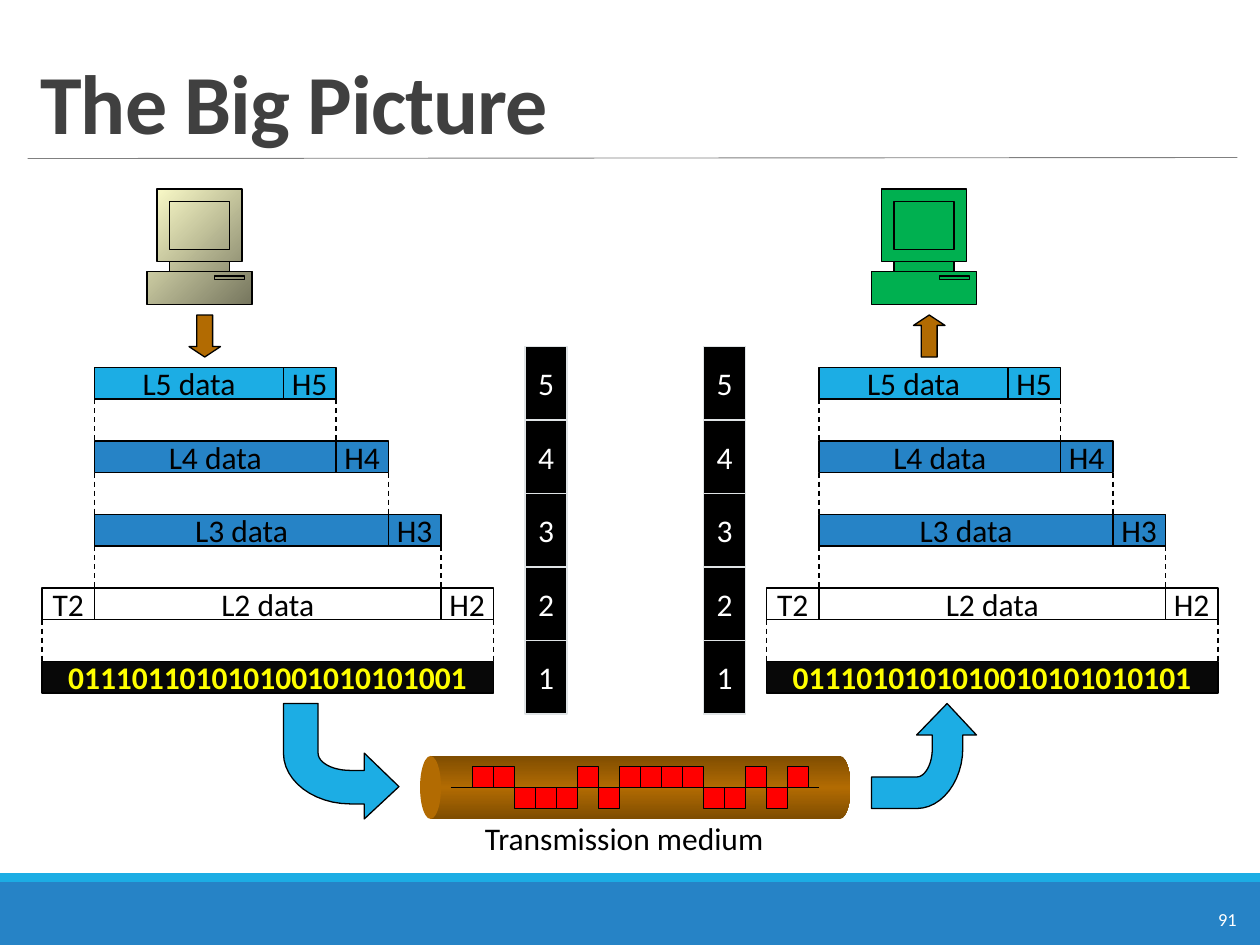
import copy
from dataclasses import dataclass

import pptx
import pptx.dml.color
import pptx.enum.dml
import pptx.enum.shapes
import pptx.enum.text
import pptx.oxml
import pptx.util

RGBColor = pptx.dml.color.RGBColor
Cm, Pt = pptx.util.Cm, pptx.util.Pt
Kind = pptx.enum.shapes.MSO_SHAPE
Align = pptx.enum.text.PP_ALIGN
Anchor = pptx.enum.text.MSO_ANCHOR

SKY = RGBColor(0x1C, 0xAD, 0xE4)
BLUE = RGBColor(0x26, 0x83, 0xC6)
WHITE = RGBColor(0xFF, 0xFF, 0xFF)
BLACK = RGBColor(0, 0, 0)
COAL = RGBColor(0x08, 0x08, 0x08)
DARK = RGBColor(0x40, 0x40, 0x40)
GREY = RGBColor(0x80, 0x80, 0x80)
PALE = RGBColor(0xDF, 0xE3, 0xE5)
YELLOW = RGBColor(0xFF, 0xFF, 0)
RED = RGBColor(0xFF, 0, 0)
GREEN = RGBColor(0, 0xB0, 0x50)
BROWN = RGBColor(0xB2, 0x6B, 0x02)
UMBER = RGBColor(0x7F, 0x4D, 0x01)
CREAM = RGBColor(0xFF, 0xFF, 0xCC)
OLIVE = RGBColor(0x76, 0x76, 0x5E)


@dataclass
class Blend:
    stops: list[RGBColor]
    angle: int


@dataclass
class Layer:
    level: int
    width: float
    paint: RGBColor
    tail: bool = False


@dataclass
class Host:
    shift: float
    paint: RGBColor | Blend
    bits: str
    down: bool
    stack: float


PIPE = Blend([UMBER, BROWN, UMBER], 90)
LAYERS = [Layer(5, 18, SKY), Layer(4, 23, BLUE), Layer(3, 28, BLUE), Layer(2, 33, WHITE, True)]
HOSTS = [
    Host(0, Blend([CREAM, OLIVE], 315), "0111011010101001010101001", True, 50),
    Host(69, GREEN, "0111010101010010101010101", False, 67),
]
SIGNAL = "1100010111100101"
LEFT, EDGE, TOP, STEP, HIGH = 9, 5, 35, 7, 3


def grid(n: float) -> int:
    """Twelfths of an inch, the module of the whole layout."""
    return Cm(n * 2.54 / 12)


def paint(shape, fill, line=BLACK) -> None:
    shape.shadow.inherit = False
    if fill is None:
        shape.fill.background()
    elif isinstance(fill, Blend):
        shape.fill.gradient()
        shape.fill.gradient_angle = fill.angle
        stops = shape._element.spPr.find(".//" + pptx.oxml.ns.qn("a:gsLst"))
        for _ in fill.stops[2:]:
            stops.append(copy.deepcopy(stops[0]))
        for i, stop in enumerate(shape.fill.gradient_stops):
            stop.color.rgb = fill.stops[i]
            stop.position = i / (len(fill.stops) - 1)
    else:
        shape.fill.solid()
        shape.fill.fore_color.rgb = fill
    if line is None:
        shape.line.fill.background()
    else:
        shape.line.color.rgb = line
        shape.line.width = Pt(0.75)


def write(shape, text: str, ink=BLACK, size=18, bold=False, align=Align.LEFT):
    frame = shape.text_frame
    frame.word_wrap = False
    frame.text = text
    para = frame.paragraphs[0]
    para.alignment = align
    font = para.font
    font.name, font.size, font.bold = "Calibri", Pt(size), bold
    font.color.rgb = ink
    return para


def box(shapes, x, y, w, h, fill, line=BLACK, kind=Kind.RECTANGLE):
    shape = shapes.add_shape(kind, grid(x), grid(y), grid(w), grid(h))
    paint(shape, fill, line)
    return shape


def label(shapes, x, y, w, h, fill, text, ink=BLACK, line=BLACK, bold=False) -> None:
    shape = box(shapes, x, y, w, h, fill, line)
    shape.text_frame.vertical_anchor = Anchor.MIDDLE
    write(shape, text, ink, bold=bold, align=Align.CENTER)


def rule(shapes, x1, y1, x2, y2, ink=BLACK, width=0.75, dash=False) -> None:
    line = shapes.add_connector(
        pptx.enum.shapes.MSO_CONNECTOR.STRAIGHT, grid(x1), grid(y1), grid(x2), grid(y2))
    line.line.color.rgb = ink
    line.line.width = Pt(width)
    if dash:
        line.line.dash_style = pptx.enum.dml.MSO_LINE.DASH
    line._element.spPr.append(pptx.oxml.parse_xml(
        f'<a:effectLst {pptx.oxml.ns.nsdecls("a")}/>'))


def outline(shapes, points, fill) -> None:
    spots = [(grid(x), grid(y)) for x, y in points]
    path = shapes.build_freeform(*spots[0])
    path.add_line_segments(spots[1:], close=True)
    paint(path.convert_to_shape(), fill)


def curve(a, b, c, d, steps=12) -> list[tuple[float, float]]:
    """Points along a cubic curve."""
    ts = [i / steps for i in range(steps + 1)]
    return [tuple((1 - t) ** 3 * p + 3 * t * (1 - t) ** 2 * q + 3 * t * t * (1 - t) * r + t ** 3 * s
                  for p, q, r, s in zip(a, b, c, d)) for t in ts]


def desktop(shapes, x, y, fill) -> None:
    half = [(9.04, 0), (9.04, 6.92), (7.86, 6.92), (7.86, 7.85), (10, 7.85), (10, 11)]
    body = half + [(10 - u, v) for u, v in reversed(half)]
    outline(shapes, [(x + u, y + v) for u, v in body], fill)
    for u, v, w, h in [(2.14, 6.92, 5.72, 0.93), (2.14, 1.16, 5.72, 4.62), (6.45, 8.3, 2.87, 0.36)]:
        box(shapes, x + u, y + v, w, h, None)


def draw(shapes, host: Host) -> None:
    left = LEFT + host.shift
    desktop(shapes, 14 + host.shift, 18, host.paint)
    kind = Kind.DOWN_ARROW if host.down else Kind.UP_ARROW
    arrow = box(shapes, 18 + host.shift, 30, 3, 4, BROWN, kind=kind)
    arrow.adjustments[0], arrow.adjustments[1] = 0.5, 0.33
    # Data units, with dashed guides down to the next layer
    for i, layer in enumerate(LAYERS):
        y, n = TOP + i * STEP, layer.level
        end = left + layer.width
        label(shapes, left, y, layer.width, HIGH, layer.paint, f"L{n} data")
        label(shapes, end, y, EDGE, HIGH, layer.paint, f"H{n}")
        start = left
        if layer.tail:
            start -= EDGE
            label(shapes, start, y, EDGE, HIGH, layer.paint, f"T{n}")
        for x in (start, end + EDGE):
            rule(shapes, x, y + HIGH, x, y + STEP, dash=True)
    label(shapes, left - EDGE, 63, 43, HIGH, COAL, host.bits, YELLOW, bold=True)
    # Layer numbers
    for i in range(5):
        label(shapes, host.stack, 33 + i * STEP, 4, STEP, BLACK, str(5 - i), WHITE, PALE)


def main() -> None:
    deck = pptx.Presentation()
    deck.slide_width, deck.slide_height = Cm(25.4), Cm(19.05)
    slide = deck.slides.add_slide(deck.slide_layouts[5])
    shapes = slide.shapes

    # Footer bars, page number and title
    box(shapes, 0, 84, 120, 6, BLUE, None)
    box(shapes, 0, 83.16, 120, 0.84, SKY, None)
    rule(shapes, 2.64, 15.1, 117.84, 15, GREY, 0.5)
    page = shapes.add_textbox(grid(114.84), grid(85.92), grid(4.44), grid(3.36))
    write(page, "91", WHITE, 10.5)
    title = shapes.title
    title.left, title.top, title.width, title.height = map(grid, (2.64, 3, 115.2, 12))
    title.text_frame.auto_size = pptx.enum.text.MSO_AUTO_SIZE.NONE
    title.text_frame.vertical_anchor = Anchor.BOTTOM
    head = write(title, "The Big Picture", DARK, 48, True)
    head.line_spacing = 0.85
    head.font._rPr.set("spc", "-50")

    for host in HOSTS:
        draw(shapes, host)

    # Cable with its signal
    cable = shapes.add_group_shape().shapes
    box(cable, 79, 72, 2, 6, PIPE, None, Kind.OVAL)
    box(cable, 41, 72, 39, 6, PIPE, None)
    box(cable, 40, 72, 2, 6, BROWN, None, Kind.OVAL)
    rule(shapes, 43, 75, 78, 75)
    for i, bit in enumerate(SIGNAL):
        box(shapes, 45 + 2 * i, 73 if bit == "1" else 75, 2, 2, RED)
    note = shapes.add_textbox(grid(45), grid(77.4), grid(31.32), grid(4.8))
    write(note, "Transmission medium")

    # Bent arrows: u runs along the exit, v along the entry
    bend = [(1, 0.72), (0.7, 1), (0.7, 0.87)]
    bend += curve((0.58, 0.87), (0.26, 0.87), (0, 0.67), (0, 0.43))
    bend += [(0, 0), (0.3, 0)]
    bend += curve((0.3, 0.43), (0.3, 0.51), (0.42, 0.58), (0.58, 0.58))
    bend += [(0.7, 0.58), (0.7, 0.43)]
    outline(shapes, [(27 + 11 * u, 67 + 11 * v) for u, v in bend], SKY)
    outline(shapes, [(83 + 10 * v, 77 - 10 * u) for u, v in bend], SKY)

    deck.save("out.pptx")


if __name__ == "__main__":
    main()
